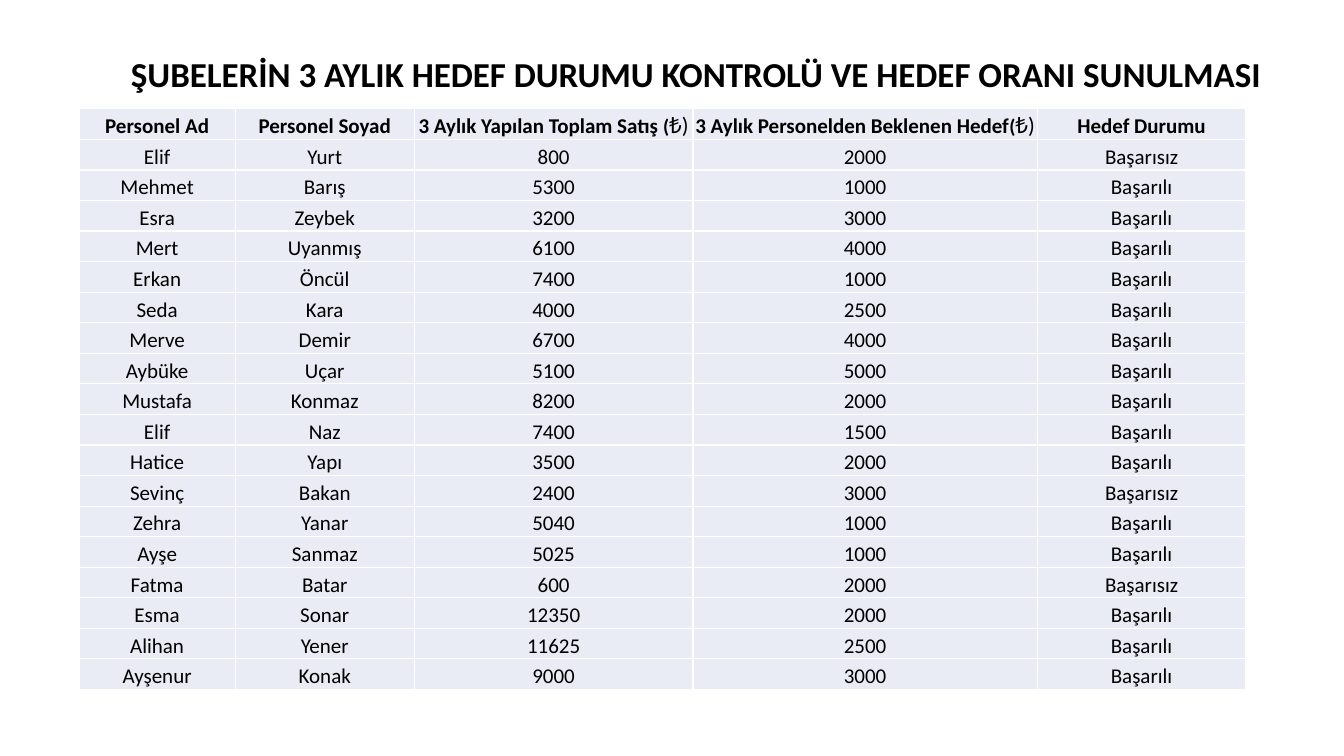
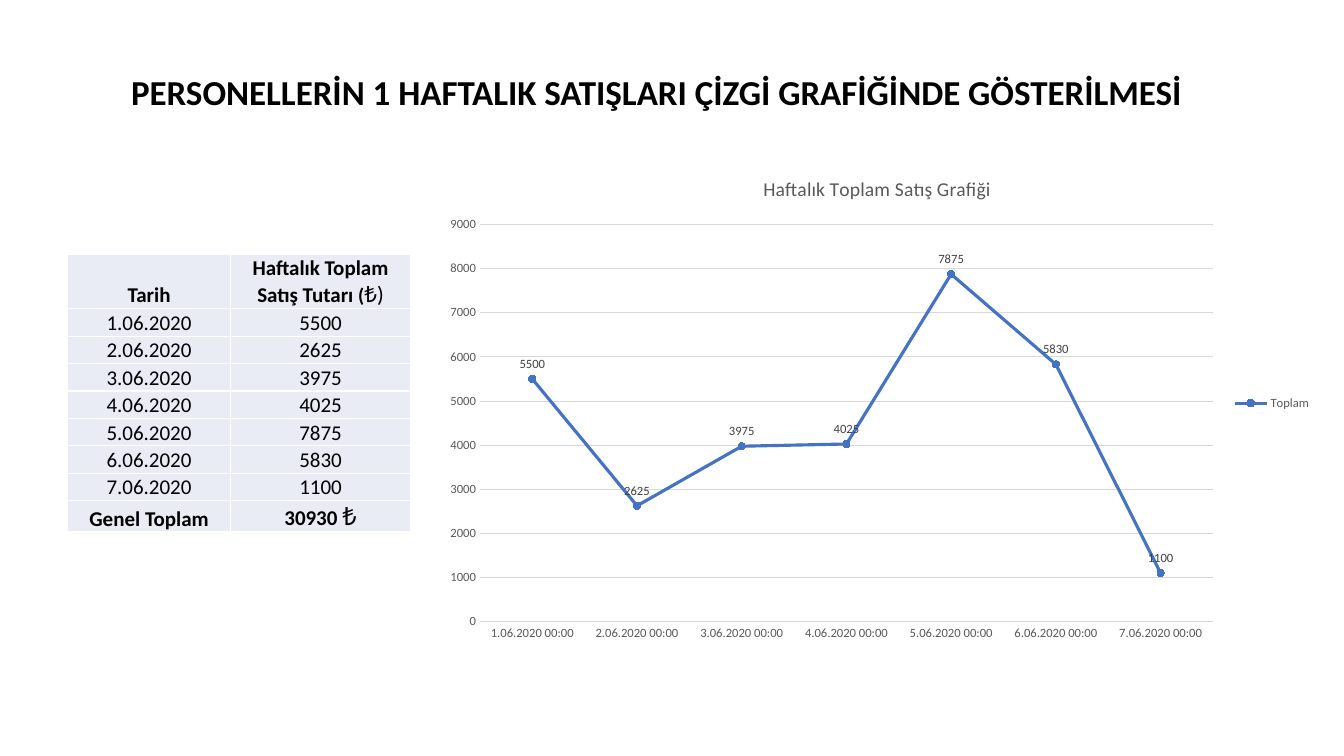
from dataclasses import dataclass
from lxml.etree import SubElement
from pptx import Presentation
from pptx.chart.data import CategoryChartData
from pptx.dml.color import RGBColor
from pptx.enum.chart import (XL_CHART_TYPE, XL_LABEL_POSITION, XL_LEGEND_POSITION,
                             XL_MARKER_STYLE, XL_TICK_MARK)
from pptx.enum.text import MSO_ANCHOR, PP_ALIGN
from pptx.oxml.ns import qn
from pptx.util import Pt


@dataclass(frozen=True)
class Theme:
    font: str = "Calibri"
    text: str = "000000"
    cell: str = "E9EBF5"
    border: str = "FFFFFF"
    series: str = "4472C4"
    grid: str = "D9D9D9"
    muted: str = "595959"
    label: str = "404040"
    title_size: int = 25
    cell_size: int = 15
    bracket_size: int = 14
    lira_size: int = 16
    total_lira_size: int = 18
    chart_title_size: int = 14
    chart_size: int = 9
    cell_margin: float = 0.7


THEME = Theme()
LIRA = [("(", {"size": THEME.bracket_size, "bold": True}),
        ("₺)", {"size": THEME.lira_size})]

STAFF_HEADER = ["Personel Ad", "Personel Soyad",
                [("3 Aylık Yapılan Toplam Satış ", {"bold": True}), *LIRA],
                [("3 Aylık Personelden Beklenen Hedef", {"bold": True}), *LIRA],
                "Hedef Durumu"]
STAFF = [
    ("Elif", "Yurt", 800, 2000),
    ("Mehmet", "Barış", 5300, 1000),
    ("Esra", "Zeybek", 3200, 3000),
    ("Mert", "Uyanmış", 6100, 4000),
    ("Erkan", "Öncül", 7400, 1000),
    ("Seda", "Kara", 4000, 2500),
    ("Merve", "Demir", 6700, 4000),
    ("Aybüke", "Uçar", 5100, 5000),
    ("Mustafa", "Konmaz", 8200, 2000),
    ("Elif", "Naz", 7400, 1500),
    ("Hatice", "Yapı", 3500, 2000),
    ("Sevinç", "Bakan", 2400, 3000),
    ("Zehra", "Yanar", 5040, 1000),
    ("Ayşe", "Sanmaz", 5025, 1000),
    ("Fatma", "Batar", 600, 2000),
    ("Esma", "Sonar", 12350, 2000),
    ("Alihan", "Yener", 11625, 2500),
    ("Ayşenur", "Konak", 9000, 3000),
]
DAILY_SALES = [5500, 2625, 3975, 4025, 7875, 5830, 1100]
DATES = [f"{day}.06.2020" for day in range(1, len(DAILY_SALES) + 1)]


def style_font(font, size=THEME.cell_size, color=THEME.text, bold=False):
    font.name = THEME.font
    font.size = Pt(size)
    font.bold = bold
    font.color.rgb = RGBColor.from_string(color)


def write_text(paragraph, text, align=PP_ALIGN.CENTER, **font_format):
    paragraph.alignment = align
    run = paragraph.add_run()
    run.text = text
    style_font(run.font, **font_format)


def add_title(slide, box, text, align):
    shape = slide.shapes.add_textbox(*map(Pt, box))
    shape.text_frame.word_wrap = True
    write_text(shape.text_frame.paragraphs[0], text, align=align,
               size=THEME.title_size, bold=True)


def style_cell(cell):
    cell.vertical_anchor = MSO_ANCHOR.BOTTOM
    cell.margin_left = cell.margin_right = cell.margin_top = Pt(THEME.cell_margin)
    cell.margin_bottom = 0
    properties = cell._tc.get_or_add_tcPr()
    for side in ("a:lnL", "a:lnR", "a:lnT", "a:lnB"):
        line = SubElement(properties, qn(side), w=str(Pt(1)))
        SubElement(SubElement(line, qn("a:solidFill")), qn("a:srgbClr"), val=THEME.border)
    cell.fill.solid()
    cell.fill.fore_color.rgb = RGBColor.from_string(THEME.cell)


def add_data_table(slide, left, top, widths, heights, rows, bold_rows):
    table = slide.shapes.add_table(len(rows), len(widths), Pt(left), Pt(top),
                                   Pt(sum(widths)), Pt(sum(heights))).table
    table.first_row = table.horz_banding = False
    for column, width in zip(table.columns, widths):
        column.width = Pt(width)
    for row_index, (values, height) in enumerate(zip(rows, heights)):
        table.rows[row_index].height = Pt(height)
        for column_index, value in enumerate(values):
            cell = table.cell(row_index, column_index)
            style_cell(cell)
            runs = value if isinstance(value, list) else [
                (str(value), {"bold": row_index in bold_rows})]
            for text, font_format in runs:
                write_text(cell.text_frame.paragraphs[0], text, **font_format)


def style_line(line, color, width):
    line.color.rgb = RGBColor.from_string(color)
    line.width = Pt(width)


def add_sales_chart(slide, box):
    data = CategoryChartData()
    data.categories = [f"{date} 00:00" for date in DATES]
    data.add_series("Toplam", DAILY_SALES)
    chart = slide.shapes.add_chart(XL_CHART_TYPE.LINE_MARKERS, *map(Pt, box), data).chart
    style_font(chart.font, size=THEME.chart_size, color=THEME.muted)
    chart.has_title = True
    write_text(chart.chart_title.text_frame.paragraphs[0], "Haftalık Toplam Satış Grafiği",
               size=THEME.chart_title_size, color=THEME.muted)
    chart.chart_title.include_in_layout = False
    chart.has_legend = True
    chart.legend.position = XL_LEGEND_POSITION.RIGHT
    chart.legend.include_in_layout = False
    style_font(chart.legend.font, size=THEME.chart_size, color=THEME.muted)

    for axis in (chart.category_axis, chart.value_axis):
        axis.major_tick_mark = axis.minor_tick_mark = XL_TICK_MARK.NONE
        style_font(axis.tick_labels.font, size=THEME.chart_size, color=THEME.muted)
    style_line(chart.category_axis.format.line, THEME.grid, 0.75)
    value_axis = chart.value_axis
    value_axis.minimum_scale, value_axis.maximum_scale = 0, 9000
    value_axis.major_unit = 1000
    value_axis.format.line.fill.background()
    style_line(value_axis.major_gridlines.format.line, THEME.grid, 0.75)

    plot = chart.plots[0]
    plot.vary_by_categories = False
    series = plot.series[0]
    series.smooth = False
    style_line(series.format.line, THEME.series, 2.25)
    marker = series.marker
    marker.style = XL_MARKER_STYLE.CIRCLE
    marker.size = 5
    marker.format.fill.solid()
    marker.format.fill.fore_color.rgb = RGBColor.from_string(THEME.series)
    style_line(marker.format.line, THEME.series, 0.75)
    labels = series.data_labels
    labels.show_value = True
    labels.position = XL_LABEL_POSITION.ABOVE
    style_font(labels.font, size=THEME.chart_size, color=THEME.label)


def build_target_slide(slide):
    add_title(slide, (56, 34, 882, 37.5),
              "ŞUBELERİN 3 AYLIK HEDEF DURUMU KONTROLÜ VE HEDEF ORANI SUNULMASI",
              PP_ALIGN.CENTER)
    rows = [STAFF_HEADER]
    for name, surname, sales, target in STAFF:
        status = "Başarılı" if sales >= target else "Başarısız"
        rows.append((name, surname, sales, target, status))
    add_data_table(slide, 56.5, 77.75, (111.5, 128, 199, 246, 149),
                   [21.85] * len(rows), rows, bold_rows={0})


def build_weekly_slide(slide):
    header = ["Tarih", [("Haftalık Toplam Satış Tutarı ", {"bold": True}), *LIRA]]
    total = ["Genel Toplam", [(f"{sum(DAILY_SALES)} ", {"bold": True}),
                              ("₺", {"size": THEME.total_lira_size})]]
    rows = [header, *zip(DATES, DAILY_SALES), total]
    add_data_table(slide, 48.5, 182, (116, 129),
                   [38.5] + [19.6] * len(DATES) + [21.5], rows,
                   bold_rows={0, len(rows) - 1})
    add_sales_chart(slide, (309, 111.5, 635, 353))
    add_title(slide, (86.5, 47, 860, 37.5),
              "PERSONELLERİN 1 HAFTALIK SATIŞLARI ÇİZGİ GRAFİĞİNDE GÖSTERİLMESİ",
              PP_ALIGN.LEFT)


presentation = Presentation()
presentation.slide_width, presentation.slide_height = Pt(960), Pt(540)
for build_slide in (build_target_slide, build_weekly_slide):
    build_slide(presentation.slides.add_slide(presentation.slide_layouts[6]))
presentation.save("out.pptx")
